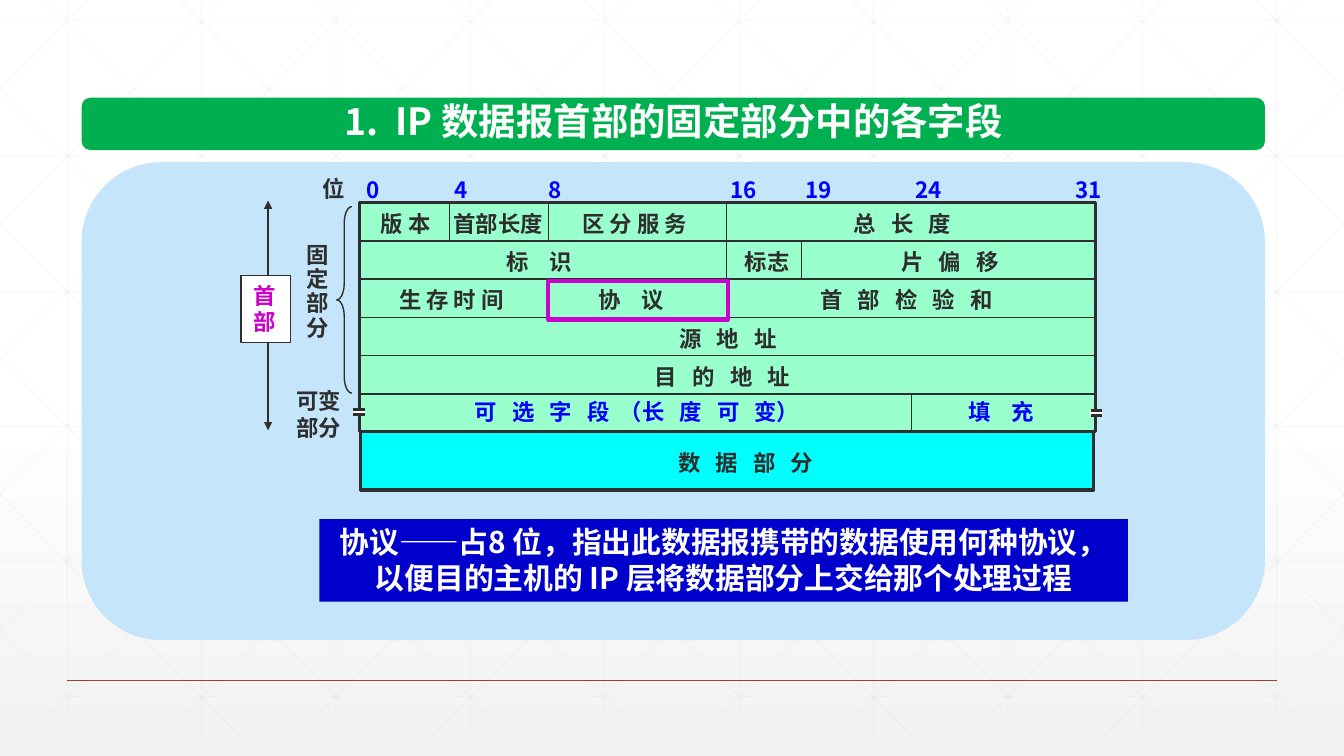
from lxml import etree
from pptx import Presentation
from pptx.dml.color import RGBColor
from pptx.enum.shapes import MSO_CONNECTOR, MSO_SHAPE as SHAPE
from pptx.enum.text import MSO_ANCHOR as ANCHOR, MSO_AUTO_SIZE, PP_ALIGN as ALIGN
from pptx.oxml.ns import qn
from pptx.util import Pt

WHITE = RGBColor(0xFF, 0xFF, 0xFF)
PALE = RGBColor(0xF2, 0xF2, 0xF2)
GRID = RGBColor(0xD9, 0xD9, 0xD9)
RUST = RGBColor(0xA4, 0x3F, 0x27)
GREEN = RGBColor(0x00, 0xB0, 0x50)
SKY = RGBColor(0xC5, 0xE5, 0xFB)
MINT = RGBColor(0x99, 0xFF, 0xCC)
CYAN = RGBColor(0x00, 0xFF, 0xFF)
INK = RGBColor(0x2D, 0x2E, 0x2D)
BLUE = RGBColor(0x00, 0x00, 0xFF)
NAVY = RGBColor(0x00, 0x00, 0xCC)
PURPLE = RGBColor(0xCC, 0x00, 0xCC)

W, H = 960, 540


class Deck:
    """Holds the text style and the current slide; lengths are in points."""
    font, size, inset = "Noto Sans CJK SC", 16, (9.3, 4.6)

    def __init__(self, prs):
        self.s = prs.slides.add_slide(prs.slide_layouts[5])

    def background(self):
        fill = self.s.background.fill
        fill.gradient()
        fill.gradient_angle = 270
        for stop, pos, color in zip(fill.gradient_stops, (0.53, 1), (WHITE, PALE)):
            stop.position, stop.color.rgb = pos, color

    def set_text(self, sp, lines, color=INK, size=None, align=ALIGN.LEFT,
                 inset=None, anchor=ANCHOR.TOP, spacing=None):
        tf = sp.text_frame
        tf.word_wrap, tf.auto_size = False, MSO_AUTO_SIZE.NONE
        tf.vertical_anchor = anchor
        x, y = inset or self.inset
        tf.margin_left = tf.margin_right = Pt(x)
        tf.margin_top = tf.margin_bottom = Pt(y)
        for i, line in enumerate(lines):
            p = tf.add_paragraph() if i else tf.paragraphs[0]
            p.alignment = align
            if spacing:
                p.line_spacing = spacing
            r = p.add_run()
            r.text = line
            f = r.font
            f.name, f.size, f.bold = self.font, Pt(size or self.size), True
            f.color.rgb = color
            ea = etree.Element(qn("a:ea"), typeface=self.font)
            r._r.get_or_add_rPr().find(qn("a:latin")).addnext(ea)

    def title(self, x, y, w, h, text, color, size):
        sp = self.s.shapes.title
        sp.left, sp.top, sp.width, sp.height = Pt(x), Pt(y), Pt(w), Pt(h)
        self.set_text(sp, [text], color, size, ALIGN.CENTER, (7.2, 3.6), ANCHOR.MIDDLE)
        return sp

    def text(self, x, y, w, h, *lines, **style):
        tb = self.s.shapes.add_textbox(Pt(x), Pt(y), Pt(w), Pt(h))
        self.set_text(tb, lines, **style)

    def shape(self, kind, x, y, w, h, fill=None, line=None, weight=1, adj=()):
        sp = self.s.shapes.add_shape(kind, Pt(x), Pt(y), Pt(w), Pt(h))
        sp.shadow.inherit = False
        for i, value in enumerate(adj):
            sp.adjustments[i] = value
        if fill is None:
            sp.fill.background()
        else:
            sp.fill.solid()
            sp.fill.fore_color.rgb = fill
        if line is None:
            sp.line.fill.background()
        else:
            sp.line.color.rgb, sp.line.width = line, Pt(weight)
        return sp

    def line(self, x1, y1, x2, y2, color=INK, weight=1, alpha=None, arrows=False):
        c = self.s.shapes.add_connector(MSO_CONNECTOR.STRAIGHT, Pt(x1), Pt(y1), Pt(x2), Pt(y2))
        c.line.color.rgb, c.line.width = color, Pt(weight)
        ln = c._element.spPr.find(qn("a:ln"))
        if alpha:
            clr = ln.find(".//" + qn("a:srgbClr"))
            etree.SubElement(clr, qn("a:alpha"), val=str(alpha * 1000))
        if arrows:
            for end in ("a:headEnd", "a:tailEnd"):
                etree.SubElement(ln, qn(end), type="triangle")
        etree.SubElement(c._element.spPr, qn("a:effectLst"))


def draw_grid(d):
    style = dict(color=GRID, weight=0.5, alpha=25)
    step, top, bottom, slope = 96, -15, 525, 540 / 537
    for i in range(10):
        d.line(48 + step * i, 0, 48 + step * i, bottom, **style)
    for i in range(6):
        y = 15 + 96.5 * i
        d.line(0, y, W, y, **style)
    # Diagonals, clipped to the slide, each with its mirror image
    for k in range(-5, 10):
        x0 = 18 + step * k
        y1 = max(0, top - x0 * slope)
        y2 = min(bottom, top + (W - x0) * slope)
        x1, x2 = (x0 + (y - top) / slope for y in (y1, y2))
        d.line(x1, y1, x2, y2, **style)
        d.line(W - x1, y1, W - x2, y2, **style)
    d.line(48, 486, 912, 486, RUST)


def draw_header(d):
    top, row_h, text_h = 144.7, 27.36, 28.8
    d.shape(SHAPE.RECTANGLE, 257, top, 525.6, 163.5, MINT, INK, 2)
    d.shape(SHAPE.RECTANGLE, 257.8, 308.2, 523.4, 41.8, CYAN, INK, 2.25)

    # Row and column rules
    for row in range(1, 6):
        d.line(256.3, top + row * row_h, 783.4, top + row * row_h)
    for x, first, last in ((321.1, 0, 1), (391.7, 0, 1), (391.7, 2, 3),
                           (519.1, 0, 3), (572.4, 1, 2), (650.9, 5, 6)):
        d.line(x, top + first * row_h, x, top + last * row_h)

    # Bit numbers
    d.text(221, 120.2, 35.3, text_h, "位")
    for x, bit in ((252.7, 0), (315.4, 4), (382.3, 8), (512.6, 16),
                   (565.9, 19), (644.4, 24), (758.9, 31)):
        d.text(x, 121, 28.8 if bit < 10 else 38.9, text_h, str(bit), color=BLUE)

    # Field names: row, left, width, text
    for row, x, w, name in (
            (0, 262.8, 56.2, "版 本"), (0, 314.6, 83.5, "首部长度"),
            (0, 406.8, 97.9, "区 分 服 务"), (0, 600.5, 96.5, "总   长   度"),
            (1, 352.8, 70.6, "标    识"), (1, 522.7, 51.8, "标志"),
            (1, 634.3, 96.5, "片   偏   移"), (2, 275.8, 97.9, "生 存 时 间"),
            (2, 418.3, 70.6, "协    议"), (2, 576.7, 157.7, "首   部   检   验   和"),
            (3, 475.9, 96.5, "源   地   址"), (4, 458.6, 126.7, "目   的   地   址")):
        d.text(x, top + 0.7 + row * row_h, w, text_h, name)
    for x, w, name in ((329.8, 276.5, "可   选   字   段  （长   度   可   变）"),
                       (682.6, 70.6, "填    充")):
        d.text(x, 280.1, w, text_h, name, color=BLUE)
    d.text(435.6, 316.1, 194.4, text_h, "数   据   部   分", align=ALIGN.CENTER)

    # Break marks on both sides of the optional row
    for x, y in ((252, 292), (778.5, 292.7)):
        d.shape(SHAPE.RECTANGLE, x, y, 8.6, 4, WHITE)
        for dy in (0.3, 3.9):
            d.line(x + 0.5, y + dy, x + 8.5, y + dy, weight=2)


def draw_side_labels(d):
    d.text(209.5, 169.9, 35.3, 79.2, *"固定部分", spacing=0.9)
    d.text(202.3, 272.2, 51.8, 48.2, "可变", "部分")
    d.shape(SHAPE.LEFT_BRACE, 240.5, 147.6, 10.8, 133.2, line=INK, adj=(1.08, 0.5))
    d.line(191.5, 143.3, 191.5, 307.4, arrows=True)
    box = d.shape(SHAPE.RECTANGLE, 172.1, 196.6, 35.3, 48.2, WHITE, INK)
    d.set_text(box, "首部", PURPLE)


def main():
    prs = Presentation()
    prs.slide_width, prs.slide_height = Pt(W), Pt(H)
    d = Deck(prs)
    d.background()
    draw_grid(d)

    # Title on its green bar
    bar = d.shape(SHAPE.ROUNDED_RECTANGLE, 58.3, 69.8, 845.3, 37.4, GREEN, adj=(0.167,))
    title = d.title(234.7, 66.2, 493.2, 39.6, "1.  IP 数据报首部的固定部分中的各字段", WHITE, 26.7)
    bar._element.addnext(title._element)

    # Datagram diagram on its panel
    d.shape(SHAPE.ROUNDED_RECTANGLE, 58.3, 115.9, 845.3, 341.3, SKY)
    draw_header(d)
    draw_side_labels(d)

    # Explanation and highlighted field
    note = d.shape(SHAPE.RECTANGLE, 228.2, 370.8, 577.4, 59, NAVY)
    d.set_text(note, ("协议——占8 位，指出此数据报携带的数据使用何种协议，",
                      "以便目的主机的 IP 层将数据部分上交给那个处理过程"),
               WHITE, 21.3, ALIGN.CENTER, (7.2, 3.6))
    d.shape(SHAPE.RECTANGLE, 391.7, 200.9, 128.2, 27.4, line=PURPLE, weight=3)
    prs.save("out.pptx")


if __name__ == "__main__":
    main()
